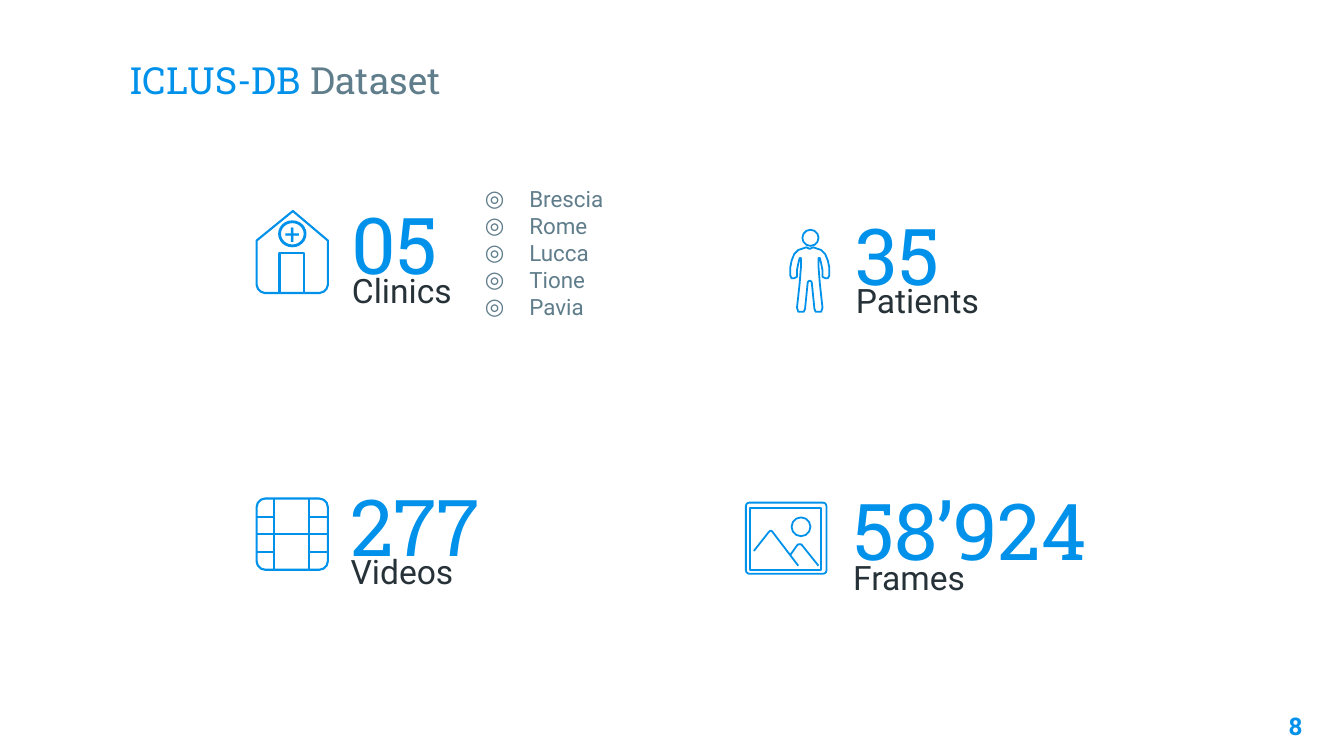
from lxml.etree import SubElement
from pptx import Presentation
from pptx.dml.color import RGBColor
from pptx.enum.shapes import MSO_CONNECTOR as Connector, MSO_SHAPE as Shape
from pptx.enum.text import MSO_ANCHOR as Anchor, MSO_AUTO_SIZE as AutoSize, PP_ALIGN as Align
from pptx.oxml.ns import qn
from pptx.util import Pt

PX = 9144  # 100 px to the inch
SLIDE_WIDTH = 1000 * PX
SLIDE_HEIGHT = SLIDE_WIDTH * 9 // 16
BLUE, GREY, DARK = "0091EA", "607D8B", "263238"
SANS, SLAB = "Roboto", "Roboto Slab"
THIN, MEDIUM, THICK = 0.96, 1.13, 1.5

STATISTICS = [  # left, top, width, gap to caption, value, caption
    (252, 128, 111, 63, "05", "Clinics"),
    (627, 136, 115, 62, "35", "Patients"),
    (251, 338, 258, 62, "277", "Videos"),
    (625, 341, 258, 63, "58’924", "Frames"),
]
CITIES = ["Brescia", "Rome", "Lucca", "Tione", "Pavia"]

HOUSE = [(191, 179), (218, 157), (244, 179), (244, 212), (243, 215), (241, 217),
         (238, 218), (197, 218), (194, 217), (192, 215), (191, 212)]
DOOR = [(208, 218), (208, 188), (226, 188), (226, 218)]
LEFT_BODY = [(602, 185), (600, 184), (597, 185), (594, 186), (591, 189), (589, 194),
             (588, 199), (588, 205), (589, 207), (591, 207), (593, 206), (593, 201),
             (594, 196), (595, 192), (596, 192), (596, 198), (595, 211), (593, 229),
             (594, 232), (596, 232), (598, 232), (599, 230), (601, 210), (602, 209)]
BODY_AXIS_DOUBLED = 1205
LARGE_MOUNTAIN = [(561, 410), (572, 396), (573, 395), (574, 395), (575, 396), (594, 421)]
SMALL_MOUNTAIN = [(588, 413), (593, 406), (594, 405), (596, 405), (597, 406), (609, 421)]


def color(value):
    return RGBColor.from_string(value)


def place(shape, left, top, width, height):
    shape.left, shape.top = left * PX, top * PX
    shape.width, shape.height = width * PX, height * PX


def set_frame(shape, anchor=Anchor.TOP):
    """Give a text shape its insets and anchor, and return its text frame."""
    frame = shape.text_frame
    frame.auto_size = AutoSize.NONE
    frame.word_wrap = True
    frame.vertical_anchor = anchor
    frame.margin_left = frame.margin_right = 10 * PX
    frame.margin_top = frame.margin_bottom = 10 * PX
    return frame


def add_run(paragraph, text, size, font, text_color, bold=False):
    run = paragraph.add_run()
    run.text = text
    run.font.size, run.font.name, run.font.bold = Pt(size), font, bold
    run.font.color.rgb = color(text_color)


def add_text(shapes, box, text, size, font, text_color,
             align=Align.LEFT, anchor=Anchor.TOP, bold=False):
    frame = set_frame(shapes.add_textbox(*(value * PX for value in box)), anchor)
    frame.paragraphs[0].alignment = align
    add_run(frame.paragraphs[0], text, size, font, text_color, bold)


def add_bullet(paragraph, character, bullet_color, font):
    properties = paragraph._p.get_or_add_pPr()
    properties.set("marL", str(50 * PX))
    properties.set("indent", str(-33 * PX))
    holder = SubElement(properties, qn("a:buClr"))
    SubElement(holder, qn("a:srgbClr")).set("val", bullet_color)
    SubElement(properties, qn("a:buFont")).set("typeface", font)
    SubElement(properties, qn("a:buChar")).set("char", character)


def outline(shape, weight):
    shape.shadow.inherit = False
    shape.fill.background()
    shape.line.color.rgb = color(BLUE)
    shape.line.width = Pt(weight)


def add_outline(shapes, kind, box, weight, radius=None):
    shape = shapes.add_shape(kind, *(value * PX for value in box))
    if radius is not None:
        shape.adjustments[0] = radius
    outline(shape, weight)
    return shape


def add_path(shapes, points, weight, close=False):
    builder = shapes.build_freeform(*points[0], scale=PX)
    builder.add_line_segments(points[1:], close=close)
    outline(builder.convert_to_shape(), weight)


def add_line(shapes, x1, y1, x2, y2, weight):
    line = shapes.add_connector(Connector.STRAIGHT, x1 * PX, y1 * PX, x2 * PX, y2 * PX)
    line.line.color.rgb = color(BLUE)
    line.line.width = Pt(weight)
    SubElement(line._element.spPr, qn("a:effectLst"))
    return line


def add_title(slide):
    title = slide.shapes.title
    place(title, 86, 9, 828, 77)
    paragraph = set_frame(title, Anchor.BOTTOM).paragraphs[0]
    paragraph.alignment = Align.LEFT
    add_run(paragraph, "ICLUS-DB ", 20, SLAB, BLUE)
    add_run(paragraph, "Dataset", 20, SLAB, GREY)


def add_statistic(shapes, left, top, width, gap, value, caption):
    add_text(shapes, (left, top, width, 98), value, 42, SLAB, BLUE, anchor=Anchor.BOTTOM)
    add_text(shapes, (left, top + gap, width, 51), caption, 18, SANS, DARK)


def add_cities(shapes):
    box = (334, 128, 156, 98)
    frame = set_frame(shapes.add_textbox(*(value * PX for value in box)))
    for index, city in enumerate(CITIES):
        paragraph = frame.add_paragraph() if index else frame.paragraphs[0]
        add_bullet(paragraph, "◎", GREY, SANS)
        add_run(paragraph, city, 12, SANS, GREY)


def add_clinic_icon(shapes):
    add_path(shapes, HOUSE, MEDIUM, close=True)
    add_path(shapes, DOOR, MEDIUM)
    add_outline(shapes, Shape.OVAL, (208, 165, 19, 18), THICK)
    add_text(shapes, (194, 151, 47, 45), "+", 15, SANS, BLUE, Align.CENTER)


def add_patient_icon(shapes):
    right_body = [(BODY_AXIS_DOUBLED - x, y) for x, y in reversed(LEFT_BODY)]
    add_path(shapes, LEFT_BODY + right_body, THIN, close=True)
    add_outline(shapes, Shape.OVAL, (597, 171, 12, 12), THIN)


def add_film_icon(shapes):
    frame = add_outline(shapes, Shape.ROUNDED_RECTANGLE, (191, 371, 53, 53), MEDIUM, 0.12)
    for x in (204, 230):
        add_line(shapes, x, 371, x, 424, MEDIUM)
    middle = add_line(shapes, 191, 398, 244, 398, MEDIUM)
    middle.begin_connect(frame, 1)
    middle.end_connect(frame, 3)
    for y in (385, 411):
        for left, right in ((191, 204), (230, 244)):
            add_line(shapes, left, y, right, y, MEDIUM)


def add_picture_icon(shapes):
    add_outline(shapes, Shape.ROUNDED_RECTANGLE, (555, 374, 60, 53), THIN, 0.05)
    add_outline(shapes, Shape.RECTANGLE, (558, 378, 53, 46), THIN)
    add_path(shapes, SMALL_MOUNTAIN, THIN)
    add_path(shapes, LARGE_MOUNTAIN, THIN)
    add_outline(shapes, Shape.OVAL, (589, 385, 14, 14), THIN)


def main():
    presentation = Presentation()
    presentation.slide_width, presentation.slide_height = SLIDE_WIDTH, SLIDE_HEIGHT
    slide = presentation.slides.add_slide(presentation.slide_layouts[5])
    add_title(slide)
    for statistic in STATISTICS:
        add_statistic(slide.shapes, *statistic)
    for add_icon in (add_clinic_icon, add_patient_icon, add_film_icon, add_picture_icon):
        add_icon(slide.shapes.add_group_shape().shapes)
    add_cities(slide.shapes)
    add_text(slide.shapes, (919, 519, 60, 43), "8", 13, SANS, BLUE, Align.RIGHT, bold=True)
    presentation.save("out.pptx")


if __name__ == "__main__":
    main()
